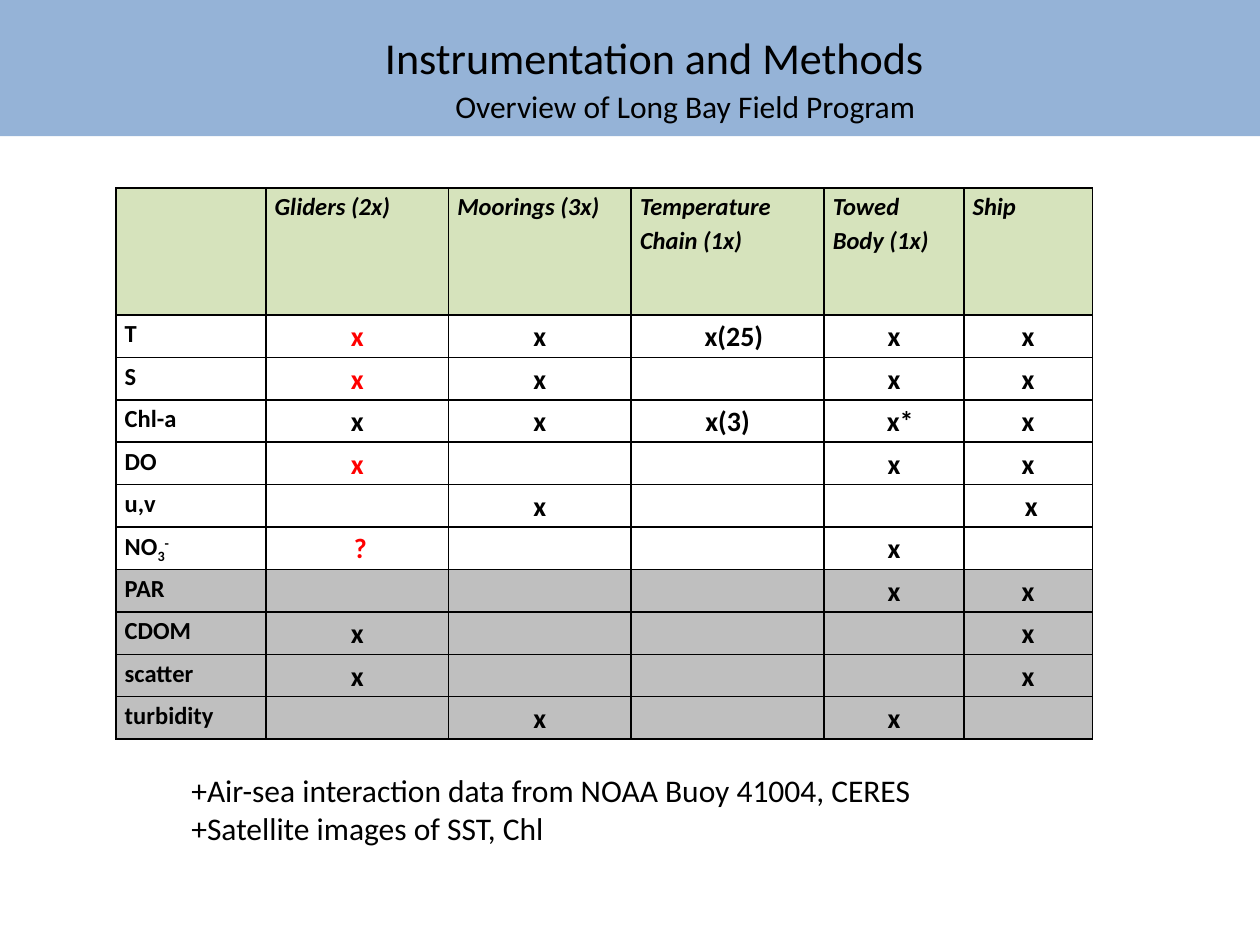
from dataclasses import dataclass

from lxml.etree import SubElement
from pptx import Presentation
from pptx.dml.color import RGBColor as RGB
from pptx.enum.shapes import MSO_SHAPE as Shape
from pptx.enum.text import MSO_ANCHOR as Anchor, MSO_AUTO_SIZE as AutoSize, PP_ALIGN as Align
from pptx.oxml.ns import qn
from pptx.util import Inches, Pt

TITLE = "Instrumentation and Methods"
SUBTITLE = "Overview of Long Bay Field Program"
HEADERS = [
    [], ["Gliders (2x)"], ["Moorings (3x)"], ["Temperature", "Chain (1x)"],
    ["Towed", "Body (1x)"], ["Ship"],
]
# Label runs are (text, baseline shift in 1/1000 percent).
MEASUREMENTS = [
    ([("T", 0)], ["x", "x", "x(25)", "x", "x"]),
    ([("S", 0)], ["x", "x", "", "x", "x"]),
    ([("Chl-a", 0)], ["x", "x", "x(3)", "x*", "x"]),
    ([("DO", 0)], ["x", "", "", "x", "x"]),
    ([("u,v", 0)], ["", "x", "", "", "x"]),
    ([("NO", 0), ("3", -25000), ("-", 30000)], ["?", "", "", "x", ""]),
    ([("PAR", 0)], ["", "", "", "x", "x"]),
    ([("CDOM", 0)], ["x", "", "", "", "x"]),
    ([("scatter", 0)], ["x", "", "", "", "x"]),
    ([("turbidity", 0)], ["", "x", "", "x", ""]),
]
FIRST_SHADED_ROW = 7
RED_CELLS = {(1, 1), (2, 1), (4, 1), (6, 1)}
EXTRA_LEFT_MARGIN = {(1, 3): 0.1, (3, 4): 0.1, (5, 5): 0.05, (6, 1): 0.05}
NOTES = [
    "+Air-sea interaction data from NOAA Buoy 41004, CERES",
    "+Satellite images of SST, Chl",
]
COLUMN_WIDTHS = [1.19, 1.45, 1.45, 1.53, 1.11, 1.02]
HEADER_HEIGHT, ROW_HEIGHT = 1.01, 0.337
CELL_MARGIN = 0.07


@dataclass(frozen=True)
class Theme:
    font: str = "Calibri"
    text: str = "000000"
    accent: str = "FF0000"
    banner: str = "95B3D7"
    header: str = "D6E3BC"
    shaded: str = "BFBFBF"
    title_size: float = 25.2
    title_line_size: float = 36
    body_size: float = 18
    label_size: float = 14
    mark_size: float = 16


THEME = Theme()


def add_run(paragraph, text, size, color=THEME.text, bold=False, italic=False, baseline=0):
    run = paragraph.add_run()
    run.text = text
    font = run.font
    font.name, font.size, font.bold, font.italic = THEME.font, Pt(size), bold, italic
    font.color.rgb = RGB.from_string(color)
    if baseline:
        font._element.set("baseline", str(baseline))


def add_banner(slide):
    shape = slide.shapes.add_shape(Shape.RECTANGLE, 0, 0, Inches(10), Inches(1.08))
    shape.shadow.inherit = False
    shape.fill.solid()
    shape.fill.fore_color.rgb = RGB.from_string(THEME.banner)
    shape.line.fill.background()
    shape.text_frame.vertical_anchor = Anchor.MIDDLE
    paragraph = shape.text_frame.paragraphs[0]
    paragraph.alignment = Align.CENTER
    properties = paragraph._p.get_or_add_pPr()
    properties.set("marL", str(Inches(0.88)))
    properties.set("indent", str(Inches(-0.38)))
    add_run(paragraph, TITLE, THEME.title_size)
    add_run(paragraph, " ", THEME.title_line_size)
    paragraph.add_line_break()
    add_run(paragraph, SUBTITLE, THEME.body_size)


def style_cell(cell, fill, extra_left):
    """Set margins, black borders and fill; borders must precede the fill."""
    cell.margin_left = Inches(CELL_MARGIN + extra_left)
    cell.margin_right = Inches(CELL_MARGIN)
    cell.margin_top = cell.margin_bottom = 0
    properties = cell._tc.get_or_add_tcPr()
    for side in ("lnL", "lnR", "lnT", "lnB"):
        border = SubElement(properties, qn(f"a:{side}"), w=str(Pt(1)))
        SubElement(SubElement(border, qn("a:solidFill")), qn("a:srgbClr"), val=THEME.text)
    if fill:
        cell.fill.solid()
        cell.fill.fore_color.rgb = RGB.from_string(fill)
    else:
        cell.fill.background()


def write_header(cell, lines):
    frame = cell.text_frame
    for index, line in enumerate(lines):
        paragraph = frame.add_paragraph() if index else frame.paragraphs[0]
        paragraph.line_spacing = 1.15
        add_run(paragraph, line, THEME.label_size, bold=True, italic=True)


def write_label(cell, runs):
    paragraph = cell.text_frame.paragraphs[0]
    paragraph.line_spacing = 1.15
    for text, baseline in runs:
        add_run(paragraph, text, THEME.label_size, bold=True, baseline=baseline)


def write_mark(cell, mark, color):
    if mark:
        paragraph = cell.text_frame.paragraphs[0]
        paragraph.alignment = Align.CENTER
        paragraph.line_spacing = 1.15
        add_run(paragraph, mark, THEME.mark_size, color, bold=True)


def add_instrument_table(slide):
    heights = [HEADER_HEIGHT] + [ROW_HEIGHT] * len(MEASUREMENTS)
    table = slide.shapes.add_table(
        len(heights), len(COLUMN_WIDTHS), Inches(0.92), Inches(1.49),
        Inches(sum(COLUMN_WIDTHS)), Inches(sum(heights)),
    ).table
    table.first_row = table.horz_banding = False
    for column, width in zip(table.columns, COLUMN_WIDTHS):
        column.width = Inches(width)
    for row_index, height in enumerate(heights):
        table.rows[row_index].height = Inches(height)
        if row_index == 0:
            fill = THEME.header
        else:
            fill = THEME.shaded if row_index >= FIRST_SHADED_ROW else None
        for column_index in range(len(COLUMN_WIDTHS)):
            place = (row_index, column_index)
            cell = table.cell(*place)
            style_cell(cell, fill, EXTRA_LEFT_MARGIN.get(place, 0))
            if row_index == 0:
                write_header(cell, HEADERS[column_index])
                continue
            label, marks = MEASUREMENTS[row_index - 1]
            if column_index == 0:
                write_label(cell, label)
            else:
                color = THEME.accent if place in RED_CELLS else THEME.text
                write_mark(cell, marks[column_index - 1], color)


def add_notes_below_table(slide):
    box = slide.shapes.add_textbox(Inches(1.42), Inches(6.07), Inches(7.08), Inches(1.01))
    frame = box.text_frame
    frame.word_wrap = True
    frame.auto_size = AutoSize.SHAPE_TO_FIT_TEXT
    for index, note in enumerate(NOTES):
        paragraph = frame.add_paragraph() if index else frame.paragraphs[0]
        add_run(paragraph, note, THEME.body_size)


def main():
    presentation = Presentation()
    presentation.slide_width, presentation.slide_height = Inches(10), Inches(7.5)
    slide = presentation.slides.add_slide(presentation.slide_layouts[6])
    add_banner(slide)
    add_instrument_table(slide)
    add_notes_below_table(slide)
    presentation.save("out.pptx")


if __name__ == "__main__":
    main()
